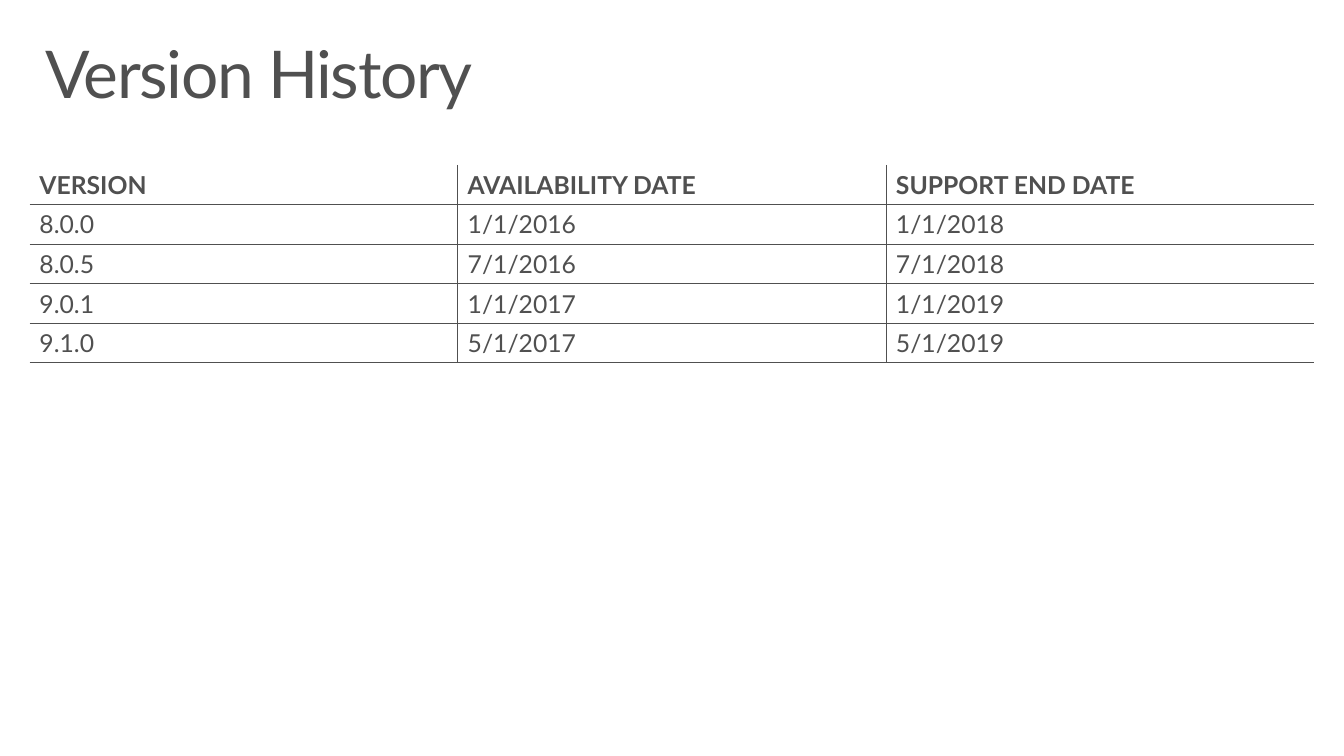
from dataclasses import dataclass

from lxml import etree
from pptx import Presentation
from pptx.dml.color import RGBColor
from pptx.enum.text import MSO_ANCHOR, PP_ALIGN
from pptx.oxml.ns import qn
from pptx.util import Cm, Pt

TOP, MIDDLE = MSO_ANCHOR.TOP, MSO_ANCHOR.MIDDLE
LEFT = PP_ALIGN.LEFT
TITLE_ONLY = 5


@dataclass(frozen=True)
class Theme:
    font: str = "Lato"
    ink: str = "505050"
    title_size: int = 48
    table_size: int = 18
    rule: int = 1


THEME = Theme()

VERSIONS = [
    ("VERSION", "AVAILABILITY DATE", "SUPPORT END DATE"),
    ("8.0.0", "1/1/2016", "1/1/2018"),
    ("8.0.5", "7/1/2016", "7/1/2018"),
    ("9.0.1", "1/1/2017", "1/1/2019"),
    ("9.1.0", "5/1/2017", "5/1/2019"),
]


def format_run(r, size, bold=False):
    r.font.name = THEME.font
    r.font.size = Pt(size)
    r.font.bold = bold
    r.font.color.rgb = RGBColor.from_string(THEME.ink)


def set_borders(cell, shown):
    """Rule the sides named in shown and clear the others."""
    tc_pr = cell._tc.get_or_add_tcPr()
    for i, side in enumerate("LRTB"):
        ln = etree.Element(qn(f"a:ln{side}"), w=str(Pt(THEME.rule)))
        if side in shown:
            fill = etree.SubElement(ln, qn("a:solidFill"))
            etree.SubElement(fill, qn("a:srgbClr"), val=THEME.ink)
        else:
            etree.SubElement(ln, qn("a:noFill"))
        tc_pr.insert(i, ln)


def add_title(slide, text, left, top, width, height):
    sp = slide.shapes.title
    sp.left, sp.top, sp.width, sp.height = left, top, width, height
    tf = sp.text_frame
    tf.text = text
    tf.word_wrap = True
    tf.vertical_anchor = TOP
    tf.margin_left = tf.margin_right = Cm(0.41)
    tf.margin_top = tf.margin_bottom = Cm(0.25)
    p = tf.paragraphs[0]
    p.alignment = LEFT
    p.line_spacing = 0.9
    r = p.runs[0]
    format_run(r, THEME.title_size)
    r.font._element.set("spc", "-100")


def add_version_table(slide, rows, left, top, width, height):
    n_rows, n_cols = len(rows), len(rows[0])
    table = slide.shapes.add_table(n_rows, n_cols, left, top, width, height).table
    table.first_row = table.horz_banding = False
    for i, row in enumerate(rows):
        for j, text in enumerate(row):
            cell = table.cell(i, j)
            cell.text = text
            cell.vertical_anchor = MIDDLE
            cell.fill.background()
            format_run(cell.text_frame.paragraphs[0].runs[0],
                       THEME.table_size, bold=i == 0)
            # Inner rules, plus one below the last row
            shown = "B"
            if i > 0:
                shown += "T"
            if j > 0:
                shown += "L"
            if j < n_cols - 1:
                shown += "R"
            set_borders(cell, shown)


def main():
    prs = Presentation()
    prs.slide_width, prs.slide_height = Cm(34.54), Cm(19.43)
    slide = prs.slides.add_slide(prs.slide_layouts[TITLE_ONLY])
    left, width = Cm(0.76), Cm(33.02)

    # Heading
    add_title(slide, "Version History", left, Cm(0.81), width, Cm(2.54))

    # Release and support dates
    add_version_table(slide, VERSIONS, left, Cm(4.24), width, Cm(5.08))

    prs.save("out.pptx")


if __name__ == "__main__":
    main()
